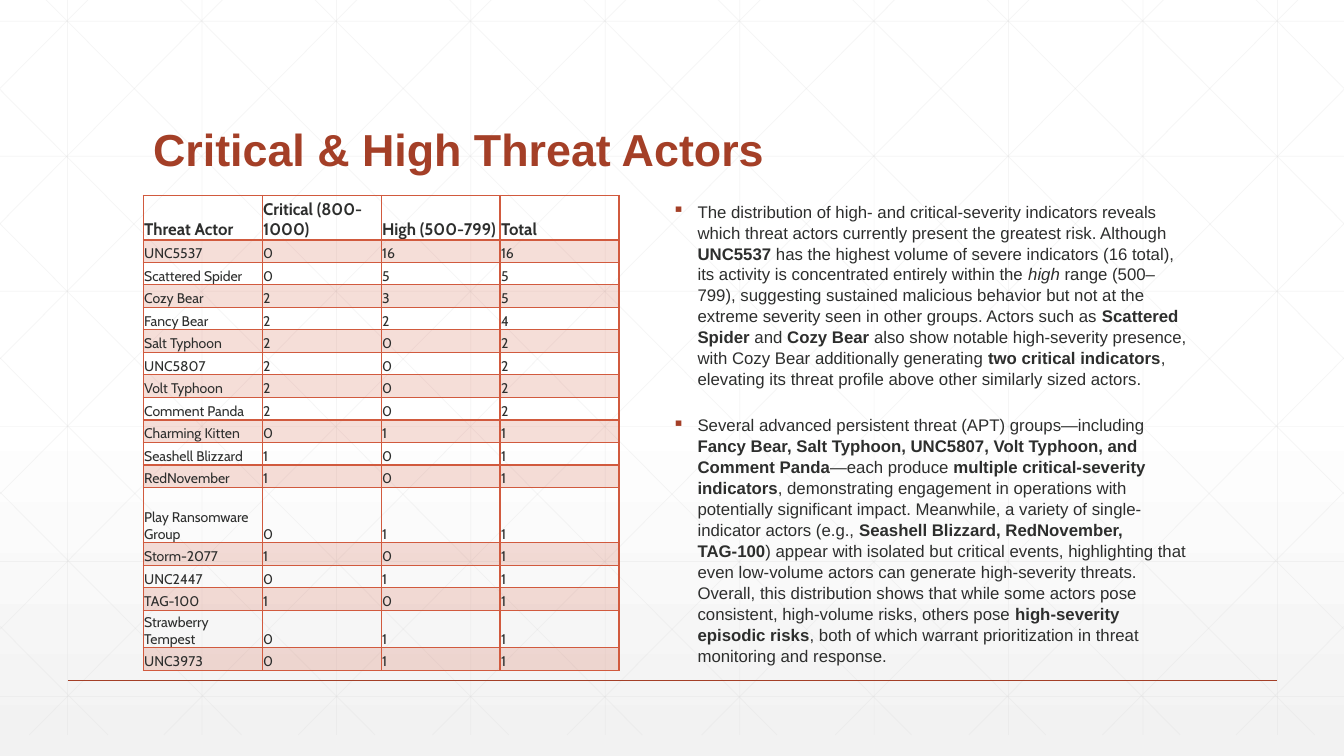
from lxml import etree
from pptx import Presentation
from pptx.dml.color import RGBColor
from pptx.enum.shapes import MSO_CONNECTOR as CONN
from pptx.enum.text import MSO_ANCHOR as ANCHOR
from pptx.oxml import parse_xml
from pptx.oxml.ns import nsdecls, qn
from pptx.util import Inches, Pt

RUST = RGBColor(0xA4, 0x3F, 0x27)
CORAL = RGBColor(0xD1, 0x5A, 0x3E)
INK = RGBColor(0x2D, 0x2E, 0x2D)
GRID = RGBColor(0xD9, 0xD9, 0xD9)

WIDTH, HEIGHT = 13.33, 7.5
GRID_TOP, GRID_BOTTOM = -0.21, 7.29
STEP = 4 / 3

HEADERS = ["Threat Actor", "Critical (800-1000)", "High (500-799)", "Total"]
ACTORS = [
    ("UNC5537", 0, 16), ("Scattered Spider", 0, 5), ("Cozy Bear", 2, 3),
    ("Fancy Bear", 2, 2), ("Salt Typhoon", 2, 0), ("UNC5807", 2, 0),
    ("Volt Typhoon", 2, 0), ("Comment Panda", 2, 0), ("Charming Kitten", 0, 1),
    ("Seashell Blizzard", 1, 0), ("RedNovember", 1, 0),
    ("Play Ransomware Group", 0, 1), ("Storm-2077", 1, 0), ("UNC2447", 0, 1),
    ("TAG-100", 1, 0), ("Strawberry Tempest", 0, 1), ("UNC3973", 0, 1),
]
ROW_HEIGHT = 0.2235
TALL_ROWS = {0: 0.44, 12: 0.55, 16: 0.37}

PLAIN, BOLD, ITALIC = {}, {"bold": True}, {"italic": True}
FINDINGS = [
    [("The distribution of high- and critical-severity indicators reveals which threat "
      "actors currently present the greatest risk. Although ", PLAIN),
     ("UNC5537", BOLD),
     (" has the highest volume of severe indicators (16 total), its activity is "
      "concentrated entirely within the ", PLAIN),
     ("high", ITALIC),
     (" range (500–799), suggesting sustained malicious behavior but not at the extreme "
      "severity seen in other groups. Actors such as ", PLAIN),
     ("Scattered Spider", BOLD), (" and ", PLAIN), ("Cozy Bear", BOLD),
     (" also show notable high-severity presence, with Cozy Bear additionally "
      "generating ", PLAIN),
     ("two critical indicators", BOLD),
     (", elevating its threat profile above other similarly sized actors.", PLAIN)],
    [("Several advanced persistent threat (APT) groups—including ", PLAIN),
     ("Fancy Bear, Salt Typhoon, UNC5807, Volt Typhoon, and Comment Panda", BOLD),
     ("—each produce ", PLAIN),
     ("multiple critical-severity indicators", BOLD),
     (", demonstrating engagement in operations with potentially significant impact. "
      "Meanwhile, a variety of single-indicator actors (e.g., ", PLAIN),
     ("Seashell Blizzard, RedNovember, TAG-100", BOLD),
     (") appear with isolated but critical events, highlighting that even low-volume "
      "actors can generate high-severity threats. Overall, this distribution shows that "
      "while some actors pose consistent, high-volume risks, others pose ", PLAIN),
     ("high-severity episodic risks", BOLD),
     (", both of which warrant prioritization in threat monitoring and response.", PLAIN)],
]


def set_alpha(color, percent):
    etree.SubElement(color, qn("a:alpha"), val=str(percent * 1000))


def set_background(s):
    stops = "".join(
        f'<a:gs pos="{pos * 1000}"><a:srgbClr val="{color}"/></a:gs>'
        for pos, color in [(0, "FFFFFF"), (53, "FFFFFF"), (100, "F2F2F2")])
    bg = parse_xml(
        f'<p:bg {nsdecls("p", "a")}><p:bgPr><a:gradFill><a:gsLst>{stops}</a:gsLst>'
        '<a:lin ang="5400000" scaled="0"/></a:gradFill><a:effectLst/></p:bgPr></p:bg>')
    s.element.cSld.insert(0, bg)


def add_line(s, x1, y1, x2, y2, color, width, alpha=None):
    line = s.shapes.add_connector(
        CONN.STRAIGHT, Inches(x1), Inches(y1), Inches(x2), Inches(y2))
    line.line.color.rgb = color
    line.line.width = Pt(width)
    sp_pr = line._element.spPr
    if alpha:
        set_alpha(sp_pr.find(".//" + qn("a:srgbClr")), alpha)
    etree.SubElement(sp_pr, qn("a:effectLst"))


def add_grid(s):
    lines = []
    for i in range(10):
        x = 0.67 + i * STEP
        lines.append((x, GRID_TOP, x, GRID_BOTTOM))
    for i in range(6):
        y = 0.21 + i * 1.34
        lines.append((0, y, WIDTH, y))
    # Diagonals from the top edge, then from the left edge, cut at the slide sides
    diagonals = []
    for i in range(10):
        x = 0.25 + i * STEP
        end = min(x + 7.455, WIDTH)
        diagonals.append((x, GRID_TOP, end, GRID_TOP + (end - x) * 1.006))
    for i in range(5):
        end = 6.37 - i * 1.325
        diagonals.append((0, GRID_BOTTOM - end * 1.005, end, GRID_BOTTOM))
    mirrored = [(WIDTH - x1, y1, WIDTH - x2, y2) for x1, y1, x2, y2 in diagonals]
    for ends in lines + diagonals + mirrored:
        add_line(s, *ends, GRID, 0.5, alpha=25)


def add_run(p, text, **font):
    r = p.add_run()
    r.text = text
    color = font.pop("color", INK)
    for name, value in font.items():
        setattr(r.font, name, value)
    r.font.color.rgb = color


def add_text_frame(s, x, y, w, h, anchor):
    tf = s.shapes.add_textbox(Inches(x), Inches(y), Inches(w), Inches(h)).text_frame
    tf.word_wrap = True
    tf.vertical_anchor = anchor
    return tf


def add_title(s, text):
    p = add_text_frame(s, 1.42, 0.55, 10.5, 1.25, ANCHOR.BOTTOM).paragraphs[0]
    p.line_spacing = 0.9
    add_run(p, text, size=Pt(32), name="Arial", bold=True, color=RUST)


def add_findings(s):
    tf = add_text_frame(s, 6.57, 1.94, 5.35, 4.39, ANCHOR.TOP)
    for i, runs in enumerate(FINDINGS):
        p = tf.add_paragraph() if i else tf.paragraphs[0]
        p_pr = p._p.get_or_add_pPr()
        p_pr.set("marL", str(Inches(0.25)))
        p_pr.set("indent", str(Inches(-0.25)))
        bullet_color = etree.SubElement(p_pr, qn("a:buClr"))
        etree.SubElement(bullet_color, qn("a:srgbClr"), val=str(RUST))
        etree.SubElement(p_pr, qn("a:buChar"), char="▪")
        p.space_before = Pt(18 if i else 0)
        p.line_spacing = 1.04
        for text, style in runs:
            add_run(p, text, size=Pt(12), name="Arial", **style)


def set_borders(cell, widths):
    tc_pr = cell._tc.get_or_add_tcPr()
    for i, (side, width) in enumerate(widths.items()):
        tc_pr.insert(i, parse_xml(
            f'<a:ln{side} {nsdecls("a")} w="{Pt(width)}"><a:solidFill>'
            f'<a:srgbClr val="{CORAL}"/></a:solidFill></a:ln{side}>'))


def format_cell(cell, row, text):
    margins = {"margin_left": 0.01, "margin_right": 0.01,
               "margin_top": 0.01, "margin_bottom": 0}
    for name, value in margins.items():
        setattr(cell, name, Inches(value))
    cell.vertical_anchor = ANCHOR.BOTTOM
    header = row == 0
    add_run(cell.text_frame.paragraphs[0], text, name="Cabin",
            size=Pt(12 if header else 10), bold=header)
    if row % 2:
        cell.fill.solid()
        cell.fill.fore_color.rgb = CORAL
        set_alpha(cell._tc.tcPr.find(".//" + qn("a:srgbClr")), 20)
    else:
        cell.fill.background()
    set_borders(cell, {"L": 1, "R": 1, "T": 2 if row == 1 else 1, "B": 2 if header else 1})


def add_actor_table(s):
    rows = [HEADERS] + [(name, critical, high, critical + high)
                        for name, critical, high in ACTORS]
    table = s.shapes.add_table(len(rows), len(HEADERS), Inches(1.42), Inches(1.94),
                               Inches(4.72), Inches(4.71)).table
    table.first_row = table.horz_banding = False
    for column in table.columns:
        column.width = Inches(1.18)
    for i, values in enumerate(rows):
        table.rows[i].height = Inches(TALL_ROWS.get(i, ROW_HEIGHT))
        for j, value in enumerate(values):
            format_cell(table.cell(i, j), i, str(value))


def main():
    prs = Presentation()
    prs.slide_width, prs.slide_height = Inches(WIDTH), Inches(HEIGHT)
    s = prs.slides.add_slide(prs.slide_layouts[6])

    # Backdrop
    set_background(s)
    add_grid(s)
    add_line(s, 0.67, 6.75, 12.67, 6.75, RUST, 1)

    # Content
    add_title(s, "Critical & High Threat Actors")
    add_findings(s)
    add_actor_table(s)
    prs.save("out.pptx")


if __name__ == "__main__":
    main()
